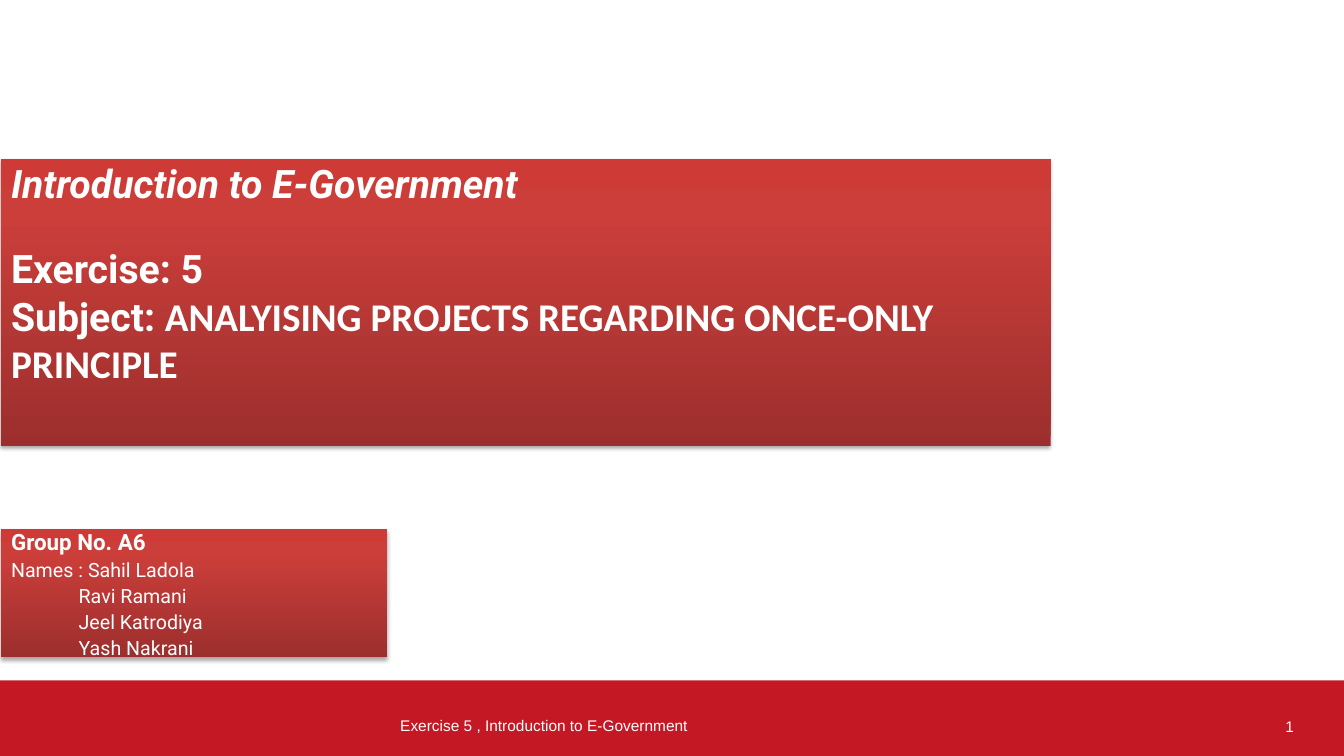
from dataclasses import dataclass

from pptx import Presentation
from pptx.dml.color import RGBColor
from pptx.enum.shapes import MSO_SHAPE
from pptx.enum.text import MSO_ANCHOR, MSO_AUTO_SIZE, PP_ALIGN
from pptx.oxml import parse_xml
from pptx.oxml.ns import nsdecls
from pptx.util import Inches, Pt

COLORS = {"white": "FFFFFF", "bar": "C51825", "dark": "9C2F2D",
          "mid": "CB3E3A", "light": "CE3B37", "shadow": "000000"}
GRADIENT_STOPS = ((0, "dark"), (80, "mid"), (100, "light"))


@dataclass
class Box:
    left: float
    top: float
    width: float
    height: float


@dataclass
class Line:
    text: str
    size: float
    font: str = "Roboto"
    bold: bool = False
    italic: bool = False
    before: float = 0
    spacing: float | Pt = 1.0
    indent: float = 0


def add_text(paragraph, text: str, *, size: float, font: str = "Roboto",
             bold: bool = False, italic: bool = False) -> None:
    run = paragraph.add_run()
    run.text = text
    run.font.size = Pt(size)
    run.font.name = font
    run.font.bold = bold
    run.font.italic = italic
    run.font.color.rgb = RGBColor.from_string(COLORS["white"])


def write_lines(shape, lines: list[Line], margins: tuple) -> None:
    frame = shape.text_frame
    frame.word_wrap = True
    frame.auto_size = MSO_AUTO_SIZE.NONE
    frame.vertical_anchor = MSO_ANCHOR.TOP
    frame.margin_left, frame.margin_top, frame.margin_right, frame.margin_bottom = map(Inches, margins)
    for index, line in enumerate(lines):
        paragraph = frame.add_paragraph() if index else frame.paragraphs[0]
        paragraph.alignment = PP_ALIGN.LEFT
        paragraph.space_before = Pt(line.before)
        paragraph.line_spacing = line.spacing
        properties = paragraph._p.get_or_add_pPr()
        properties.set("marL", str(Inches(line.indent)))
        properties.set("indent", "0")
        add_text(paragraph, line.text, size=line.size, font=line.font,
                 bold=line.bold, italic=line.italic)


def style_panel(shape, box: Box, geometry: str) -> None:
    """Place a placeholder and give it an outline, red gradient and soft shadow."""
    shape.left, shape.top = Inches(box.left), Inches(box.top)
    shape.width, shape.height = Inches(box.width), Inches(box.height)
    stops = "".join(f'<a:gs pos="{position * 1000}"><a:srgbClr val="{COLORS[name]}"/></a:gs>'
                    for position, name in GRADIENT_STOPS)
    for xml in (
        f'<a:prstGeom {nsdecls("a")} prst="{geometry}"><a:avLst/></a:prstGeom>',
        f'<a:gradFill {nsdecls("a")} rotWithShape="1"><a:gsLst>{stops}</a:gsLst>'
        '<a:lin ang="16200000" scaled="0"/></a:gradFill>',
        f'<a:effectLst {nsdecls("a")}><a:outerShdw blurRad="{Pt(3.1)}" dist="{Pt(1.8)}" '
        f'dir="5400000" rotWithShape="0"><a:srgbClr val="{COLORS["shadow"]}">'
        '<a:alpha val="35000"/></a:srgbClr></a:outerShdw></a:effectLst>',
    ):
        shape._element.spPr.append(parse_xml(xml))


def add_footer_text(slide, box: Box, text: str, indent: float) -> None:
    shape = slide.shapes.add_textbox(Inches(box.left), Inches(box.top),
                                     Inches(box.width), Inches(box.height))
    write_lines(shape, [Line(text, 11, "Arial", indent=indent)], (0, 0, 0, 0))


def main() -> None:
    presentation = Presentation()
    presentation.slide_width, presentation.slide_height = Inches(13.33), Inches(7.5)
    slide = presentation.slides.add_slide(presentation.slide_layouts[0])

    # Footer bar with its text and page number
    bar = slide.shapes.add_shape(MSO_SHAPE.RECTANGLE, 0, Inches(6.75), Inches(13.33), Inches(0.75))
    bar.shadow.inherit = False
    bar.fill.solid()
    bar.fill.fore_color.rgb = RGBColor.from_string(COLORS["bar"])
    bar.line.fill.background()
    add_footer_text(slide, Box(3.96, 7.1, 5.81, 0.19),
                    "Exercise 5 , Introduction to E-Government", 0.01)
    add_footer_text(slide, Box(12.62, 7.11, 0.27, 0.2), "1", 0.13)

    # Group panel
    group = slide.placeholders[1]
    style_panel(group, Box(0.01, 5.25, 3.83, 1.27), "rect")
    tight = {"before": 3.4, "spacing": Pt(15.1)}
    members = ["Ravi Ramani", "Jeel Katrodiya", "Yash Nakrani"]
    write_lines(group, [
        Line("Group No. A6", 16, bold=True, indent=0.1, **tight),
        Line("Names : Sahil Ladola", 14, indent=0.1, **tight),
        *(Line(name, 14, indent=0.77, **tight) for name in members),
    ], (0, 0.05, 0, 0))

    # Title arrow
    title = slide.shapes.title
    style_panel(title, Box(0.01, 1.58, 10.41, 2.84), "homePlate")
    write_lines(title, [
        Line("Introduction to E-Government", 28, bold=True, italic=True, before=0.9),
        Line("Exercise: 5", 28, bold=True, before=27),
        Line("Subject: ", 28, bold=True, before=0.9),
    ], (0.1, 0, 0.1, 0))
    add_text(title.text_frame.paragraphs[-1], "ANALYISING PROJECTS REGARDING ONCE-ONLY PRINCIPLE",
             size=28, font="Calibri", bold=True)

    presentation.save("out.pptx")


if __name__ == "__main__":
    main()
